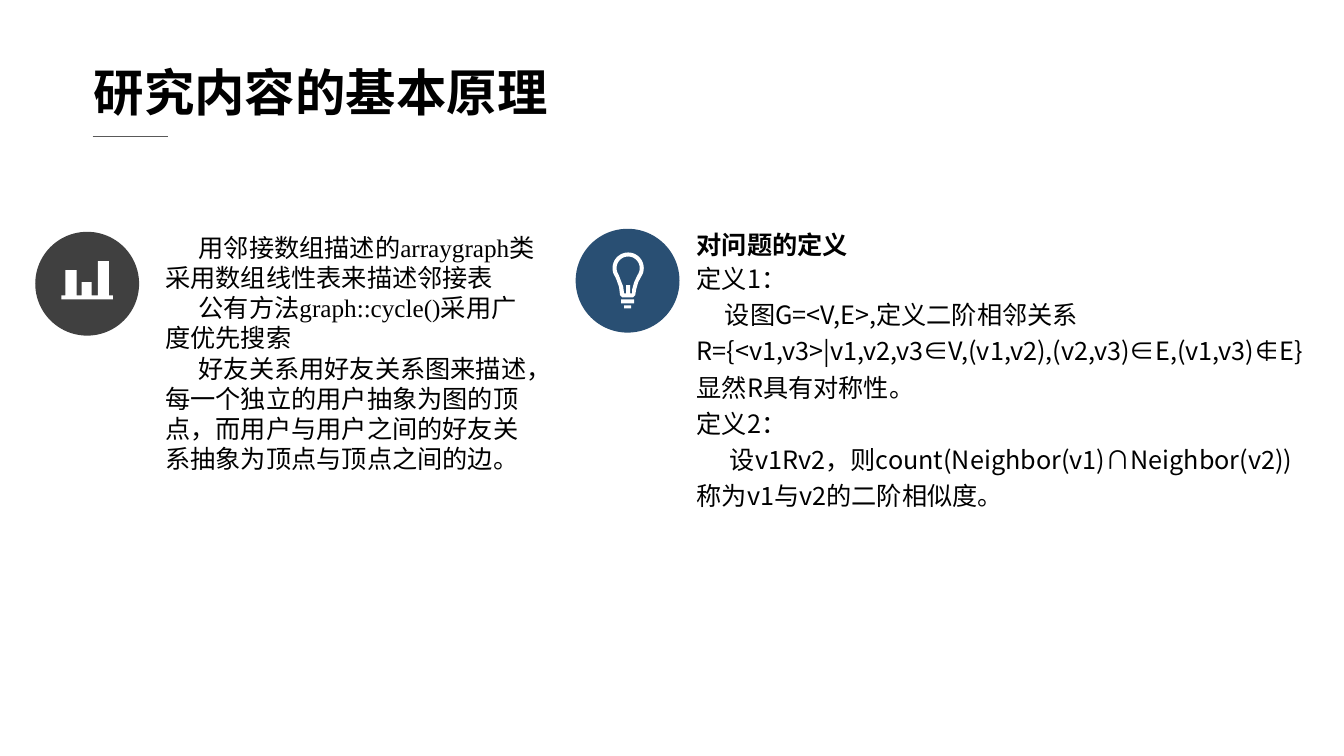
from math import cos, radians, sin

from lxml.etree import SubElement
from pptx import Presentation
from pptx.dml.color import RGBColor
from pptx.enum.shapes import MSO_CONNECTOR, MSO_SHAPE
from pptx.enum.text import MSO_ANCHOR, MSO_AUTO_SIZE, PP_ALIGN
from pptx.oxml.ns import qn
from pptx.util import Inches, Pt

COLORS = {"text": "000000", "rule": "595959", "chart": "404040",
          "idea": "294F73", "icon": "FFFFFF"}
SANS, SERIF = "Noto Sans CJK SC", "Times New Roman"


def write_text(box, place, lines, font, size=18, bold=False, margins=(0, 0), spacing=1.0):
    """Place a box and fill it with (text, first-line indent) paragraphs."""
    box.left, box.top, box.width, box.height = map(Inches, place)
    frame = box.text_frame
    side, edge = map(Inches, margins)
    frame_format = {"word_wrap": True, "auto_size": MSO_AUTO_SIZE.NONE,
                    "vertical_anchor": MSO_ANCHOR.TOP,
                    "margin_left": side, "margin_right": side,
                    "margin_top": edge, "margin_bottom": edge}
    for name, value in frame_format.items():
        setattr(frame, name, value)
    for index, (text, indent) in enumerate(lines):
        para = frame.add_paragraph() if index else frame.paragraphs[0]
        para_format = {"alignment": PP_ALIGN.LEFT, "line_spacing": spacing,
                       "space_before": Pt(0), "space_after": Pt(0)}
        for name, value in para_format.items():
            setattr(para, name, value)
        properties = para._p.get_or_add_pPr()
        properties.set("marL", "0")
        properties.set("indent", str(Inches(indent)))
        SubElement(properties, qn("a:buNone"))
        span = para.add_run()
        span.text = text
        for name, value in {"name": font, "size": Pt(size), "bold": bold}.items():
            setattr(span.font, name, value)
        span.font.color.rgb = RGBColor.from_string(COLORS["text"])
        SubElement(span._r.get_or_add_rPr(), qn("a:ea")).set("typeface", SANS)


def bulb_arc(radius, start, end):
    """Points clockwise over the top of the bulb, angles in degrees."""
    steps = 36
    angles = [radians(start + (end - start) * i / steps) for i in range(steps + 1)]
    return [(6.23 + radius * cos(a), 2.66 + radius * sin(a)) for a in angles]


deck = Presentation()
deck.slide_width, deck.slide_height = Inches(13.33), Inches(7.5)
page = deck.slides.add_slide(deck.slide_layouts[3])
title, principle, definitions = page.placeholders

# Title and its rule
write_text(title, (0.86, 0.57, 4.91, 0.68), [("研究内容的基本原理", 0)],
           SANS, size=36, bold=True, margins=(0.07, 0.04))
rule = page.shapes.add_connector(MSO_CONNECTOR.STRAIGHT, Inches(0.92), Inches(1.35),
                                 Inches(1.67), Inches(1.35))
rule.line.color.rgb = RGBColor.from_string(COLORS["rule"])
rule.line.width = Pt(0.75)
SubElement(rule._element.spPr, qn("a:effectLst"))

# Round badges, each with an icon made of closed outlines
bars = [(1.08, 2.93), (1.08, 2.59), (0.97, 2.59), (0.97, 2.93), (0.91, 2.93),
        (0.91, 2.8), (0.81, 2.8), (0.81, 2.93), (0.76, 2.93), (0.76, 2.68),
        (0.65, 2.68), (0.65, 2.93), (0.61, 2.93), (0.61, 2.97), (1.12, 2.97),
        (1.12, 2.93)]
glass = bulb_arc(0.155, 145, 395) + [
    (6.33, 2.8), (6.31, 2.87), (6.3, 2.93), (6.28, 2.95),
    (6.17, 2.95), (6.15, 2.93), (6.14, 2.85), (6.12, 2.79)]
hollow = bulb_arc(0.115, 145, 395) + [
    (6.29, 2.8), (6.27, 2.87), (6.27, 2.91), (6.25, 2.91), (6.25, 2.83),
    (6.21, 2.83), (6.21, 2.91), (6.19, 2.91), (6.18, 2.84), (6.16, 2.79)]
screw = [(6.16, 3.01), (6.29, 3.01), (6.29, 2.97), (6.16, 2.97)]
tip = [(6.19, 3.06), (6.26, 3.06), (6.26, 3.03), (6.19, 3.03)]

badges = [("chart", 0.35, 2.3, [bars]),
          ("idea", 5.71, 2.27, [glass, hollow, screw, tip])]
for color, left, top, outlines in badges:
    disc = page.shapes.add_shape(MSO_SHAPE.FLOWCHART_CONNECTOR, Inches(left),
                                 Inches(top), Inches(1.03), Inches(1.03))
    builder = None
    for outline in outlines:
        start, *rest = [(Inches(x), Inches(y)) for x, y in outline]
        if builder is None:
            builder = page.shapes.build_freeform(*start)
        else:
            builder.move_to(*start)
        builder.add_line_segments(rest, close=True)
    for shape, fill in ((disc, color), (builder.convert_to_shape(), "icon")):
        shape.shadow.inherit = False
        shape.fill.solid()
        shape.fill.fore_color.rgb = RGBColor.from_string(COLORS[fill])
        shape.line.fill.background()

# Left column
write_text(principle, (1.64, 2.3, 3.67, 2.42), [
    ("用邻接数组描述的arraygraph类采用数组线性表来描述邻接表", 0.33),
    ("公有方法graph::cycle()采用广度优先搜索", 0.33),
    ("好友关系用好友关系图来描述，每一个独立的用户抽象为图的顶点，"
     "而用户与用户之间的好友关系抽象为顶点与顶点之间的边。", 0.33),
], SERIF)

# Right column
heading = page.shapes.add_textbox(0, 0, 0, 0)
write_text(heading, (6.91, 2.27, 3.7, 0.52), [("对问题的定义", 0)], SERIF, bold=True)
write_text(definitions, (6.91, 2.55, 6.42, 2.5), [
    ("定义1：", 0),
    ("设图G=<V,E>,定义二阶相邻关系", 0.28),
    ("R={<v1,v3>|v1,v2,v3∈V,(v1,v2),(v2,v3)∈E,(v1,v3)∉E}", 0),
    ("显然R具有对称性。", 0),
    ("定义2：", 0),
    ("设v1Rv2，则count(Neighbor(v1)∩Neighbor(v2))", 0.33),
    ("称为v1与v2的二阶相似度。", 0),
], SANS, spacing=1.2)

deck.save("out.pptx")
